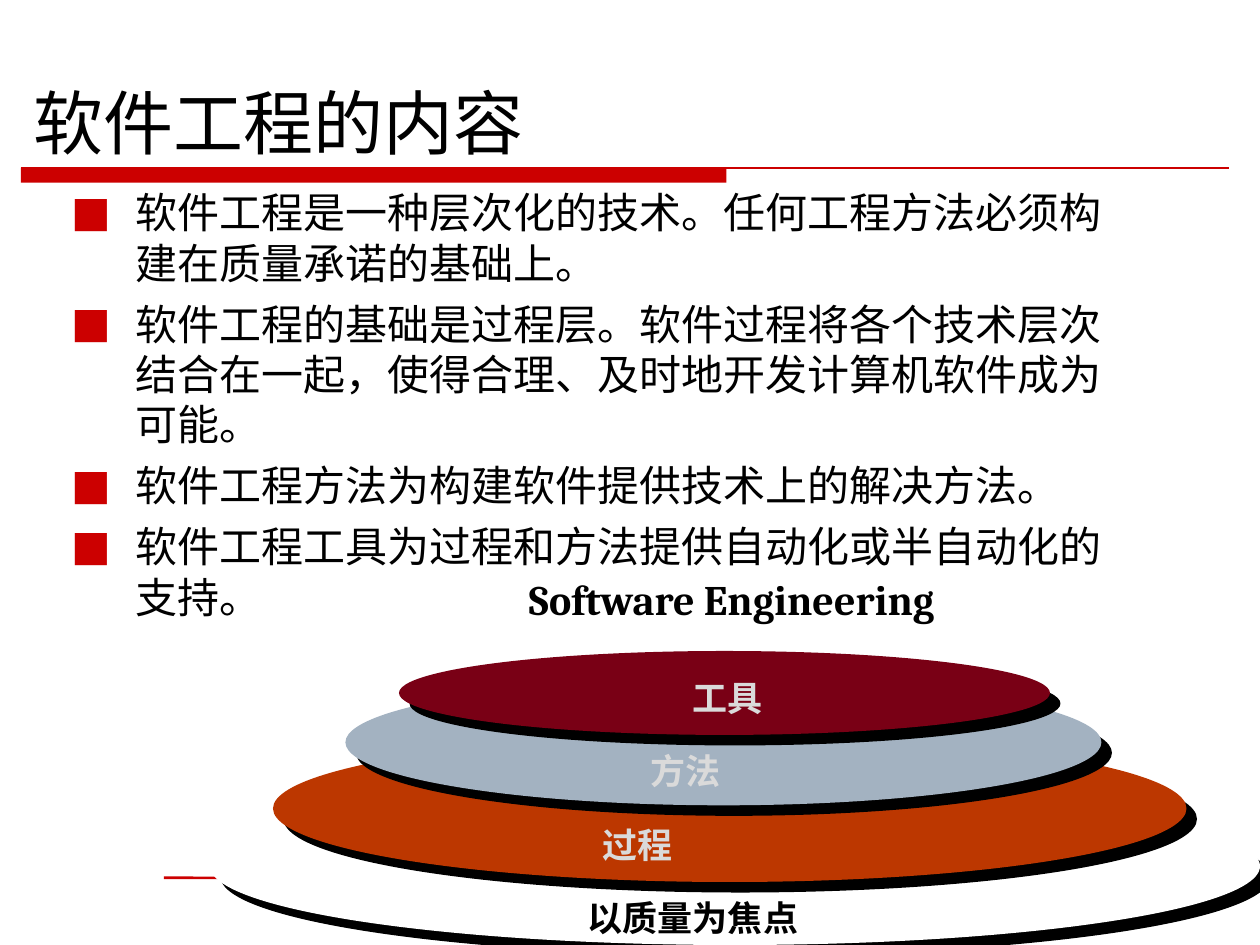
from dataclasses import dataclass

from lxml import etree
from pptx import Presentation, util as u
from pptx.dml.color import RGBColor
from pptx.enum import shapes, text
from pptx.oxml.ns import qn

WIDE, HIGH = u.Inches(10), u.Inches(7.5)
COLS, ROWS = 120, 90
RED = RGBColor(0xCC, 0x00, 0x00)
BLACK = RGBColor(0x00, 0x00, 0x00)
WHITE = RGBColor(0xFF, 0xFF, 0xFF)
PALE = RGBColor(0xDA, 0xDA, 0xDA)
RUST = RGBColor(0xBC, 0x37, 0x00)
STEEL = RGBColor(0xA3, 0xB2, 0xC1)
WINE = RGBColor(0x79, 0x00, 0x15)
HAN, BODY, SERIF = "Noto Sans CJK SC", "DejaVu Sans", "Cambria"


@dataclass
class Box:
    col: float
    row: float
    cols: float
    rows: float

    def place(self) -> tuple[int, int, int, int]:
        return (
            int(WIDE * self.col / COLS),
            int(HIGH * self.row / ROWS),
            int(WIDE * self.cols / COLS),
            int(HIGH * self.rows / ROWS),
        )


@dataclass
class Layer:
    box: Box
    fill: RGBColor


@dataclass
class Label:
    words: str
    box: Box
    color: RGBColor = PALE
    size: int = 20


TITLE = Box(2, 5, 102.2, 11.2)
LIST = Box(5.6, 17.2, 102, 54)
BAR = Box(2, 16, 67.2, 1.4)
RULES = [(Box(2, 16, 115, 0), 0.75), (Box(15.6, 83.6, 96.4, 0.1), 1.5)]
POINTS = [
    "软件工程是一种层次化的技术。任何工程方法必须构建在质量承诺的基础上。",
    "软件工程的基础是过程层。软件过程将各个技术层次结合在一起，使得合理、及时地开发计算机软件成为可能。",
    "软件工程方法为构建软件提供技术上的解决方法。",
    "软件工程工具为过程和方法提供自动化或半自动化的支持。",
]
LAYERS = [
    Layer(Box(20, 75, 100, 15), WHITE),
    Layer(Box(26, 70, 87, 14), RUST),
    Layer(Box(32.9, 64.7, 72, 12), STEEL),
    Layer(Box(38, 62, 62, 8), WINE),
]
LABELS = [
    Label("Software Engineering", Box(49.2, 54, 42.2, 6), BLACK, 24),
    Label("以质量为焦点", Box(54.8, 84.8, 22.4, 5.2), BLACK),
    Label("过程", Box(56.2, 77.8, 9.1, 5.2)),
    Label("方法", Box(60.8, 70.8, 9.1, 5.2)),
    Label("工具", Box(64.8, 63.8, 9.1, 5.2)),
]


def style(para, face: str, size: int, color: RGBColor, east: str, bold: bool = False) -> None:
    for run in para.runs:
        font = run.font
        font.name, font.size, font.bold = face, u.Pt(size), bold
        font.color.rgb = color
        latin = font._element.find(qn("a:latin"))
        mark = etree.Element(qn("a:ea"), typeface=east)
        latin.addnext(mark)


def head(slide) -> None:
    title = slide.shapes.title
    title.left, title.top, title.width, title.height = TITLE.place()
    frame = title.text_frame
    frame.text = "软件工程的内容"
    frame.vertical_anchor = text.MSO_ANCHOR.BOTTOM
    frame.paragraphs[0].alignment = text.PP_ALIGN.LEFT
    style(frame.paragraphs[0], HAN, 40, BLACK, HAN)


def bullet(para) -> None:
    props = para._p.get_or_add_pPr()
    props.set("marL", str(u.Inches(0.51)))
    props.set("indent", str(-u.Inches(0.51)))
    tint = etree.SubElement(props, qn("a:buClr"))
    etree.SubElement(tint, qn("a:srgbClr"), val=str(RED))
    etree.SubElement(props, qn("a:buFont"), typeface=BODY)
    etree.SubElement(props, qn("a:buChar"), char="■")


def points(slide) -> None:
    frame = slide.shapes.add_textbox(*LIST.place()).text_frame
    frame.word_wrap = True
    frame.text = "\n".join(POINTS)
    for i, para in enumerate(frame.paragraphs):
        bullet(para)
        para.space_before = u.Pt(6 if i else 0)
        style(para, BODY, 24, BLACK, BODY)


def solid(slide, kind: shapes.MSO_SHAPE, box: Box, fill: RGBColor):
    shape = slide.shapes.add_shape(kind, *box.place())
    shape.shadow.inherit = False
    shape.fill.solid()
    shape.fill.fore_color.rgb = fill
    shape.line.fill.background()
    return shape


def rule(slide, box: Box, weight: float) -> None:
    x, y, w, h = box.place()
    line = slide.shapes.add_connector(shapes.MSO_CONNECTOR.STRAIGHT, x, y, x + w, y + h)
    line.line.color.rgb = RED
    line.line.width = u.Pt(weight)
    etree.SubElement(line._element.spPr, qn("a:effectLst"))


def layer(slide, item: Layer) -> None:
    shape = solid(slide, shapes.MSO_SHAPE.OVAL, item.box, item.fill)
    effect = shape._element.spPr.find(qn("a:effectLst"))
    shade = etree.SubElement(
        effect, qn("a:outerShdw"), dist=str(u.Pt(8.5)), dir=str(45 * 60000),
        algn="ctr", rotWithShape="0",
    )
    etree.SubElement(shade, qn("a:srgbClr"), val=str(BLACK))


def label(slide, item: Label) -> None:
    frame = slide.shapes.add_textbox(*item.box.place()).text_frame
    frame.word_wrap = False
    frame.text = item.words
    style(frame.paragraphs[0], SERIF, item.size, item.color, HAN, True)


def main() -> None:
    deck = Presentation()
    deck.slide_width, deck.slide_height = WIDE, HIGH
    slide = deck.slides.add_slide(deck.slide_layouts[5])
    solid(slide, shapes.MSO_SHAPE.RECTANGLE, BAR, RED)
    for box, weight in RULES:
        rule(slide, box, weight)
    head(slide)
    points(slide)
    for item in LAYERS:
        layer(slide, item)
    for item in LABELS:
        label(slide, item)
    deck.save("out.pptx")


if __name__ == "__main__":
    main()
